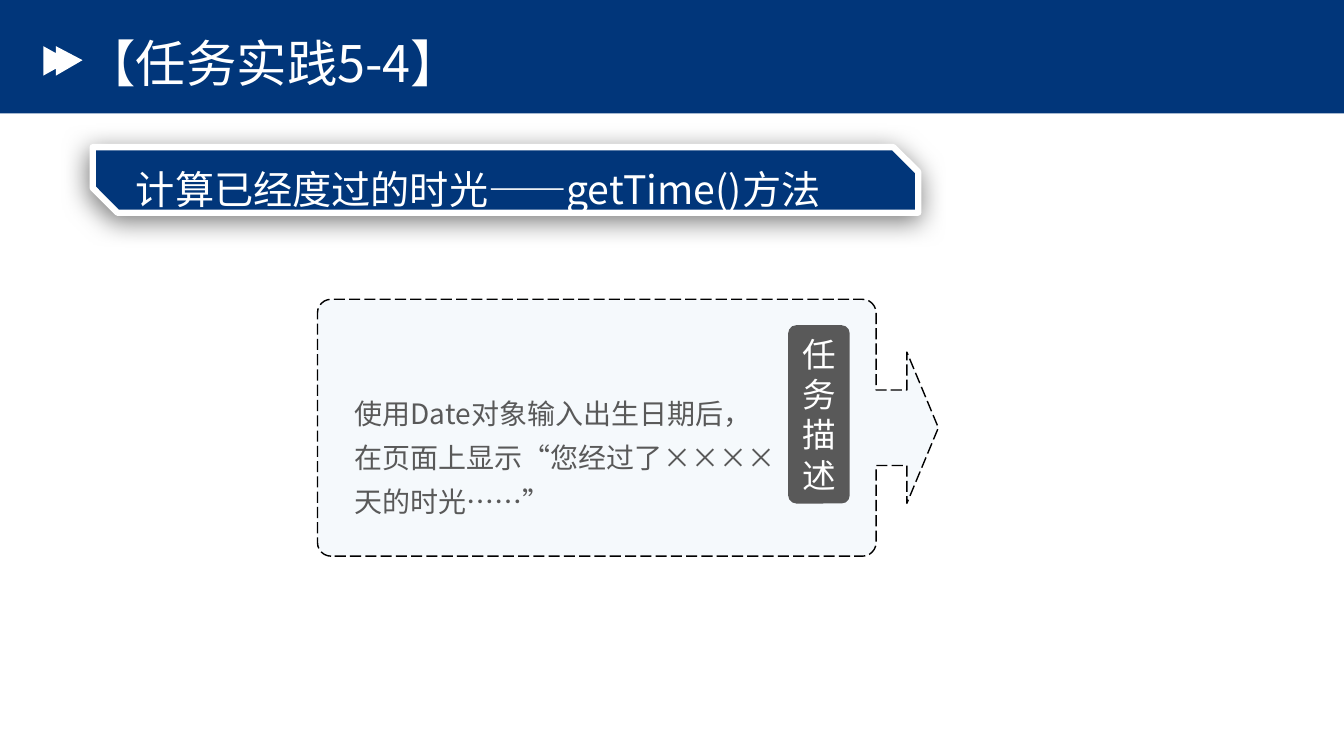
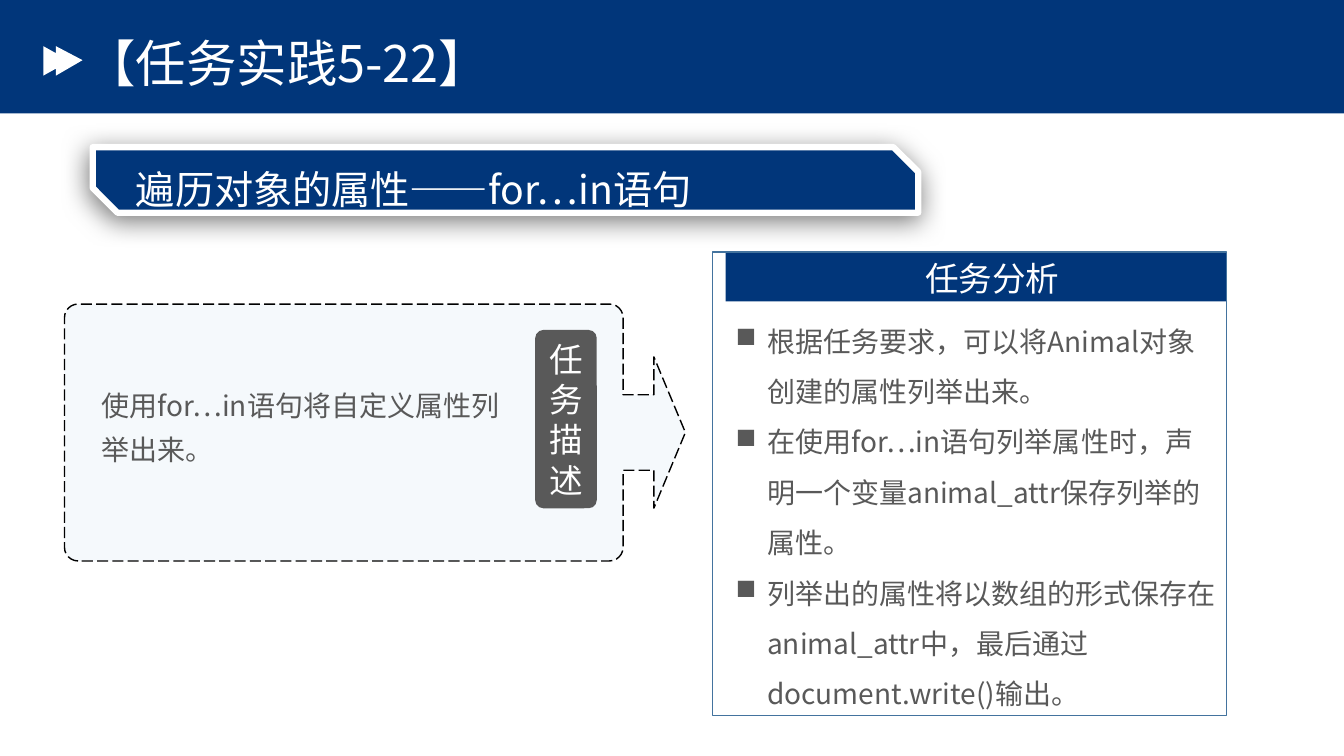
"""Build two task slides that share a title band, a ribbon and an arrow card."""
from dataclasses import dataclass
from math import cos, radians, sin
from typing import Optional

from lxml.etree import SubElement as Sub
from pptx import Presentation
from pptx.dml.color import RGBColor as RGB
from pptx.enum.dml import MSO_LINE as Dash
from pptx.enum.shapes import MSO_SHAPE as Kind
from pptx.enum.text import MSO_ANCHOR as Anchor, PP_ALIGN as Align
from pptx.oxml.ns import qn
from pptx.shapes.autoshape import Shape
from pptx.slide import Slide
from pptx.util import Pt

NAVY = RGB(0x01, 0x36, 0x7A)
WHITE = RGB(0xFF, 0xFF, 0xFF)
BLACK = RGB(0, 0, 0)
GRAY = RGB(0x59, 0x59, 0x59)
PALE = RGB(0xBD, 0xD7, 0xEE)
STEEL = RGB(0x43, 0x73, 0x9E)
SANS = "Noto Sans CJK SC"
CHEVRON = [(31, 33), (40, 38), (40, 33), (59, 43), (40, 54), (40, 49), (31, 54)]


@dataclass(frozen=True)
class Box:
    left: float
    top: float
    width: float
    height: float


@dataclass(frozen=True)
class Style:
    size: float
    color: RGB = WHITE
    font: str = SANS
    align: Align = Align.LEFT
    anchor: Anchor = Anchor.MIDDLE
    pitch: Optional[float] = None
    bullet: bool = False


@dataclass(frozen=True)
class Task:
    title: str
    topic: str
    left: float
    top: float
    drop: float
    brief: str
    steps: tuple[str, ...] = ()


TITLE = Style(36)
TOPIC = Style(28)
BRIEF = Style(20, GRAY, anchor=Anchor.TOP, pitch=31.4)
BADGE = Style(24, font="Calibri", align=Align.CENTER, pitch=28.8)
HEAD = Style(24, align=Align.CENTER)
STEP = Style(20, GRAY, anchor=Anchor.TOP, pitch=36, bullet=True)

TASKS = (
    Task("【任务实践5-4】", "计算已经度过的时光——getTime()方法", 226.8, 213.8, 58.6,
         "使用Date对象输入出生日期后，在页面上显示“您经过了××××天的时光……”"),
    Task("【任务实践5-22】", "遍历对象的属性——for…in语句", 46.1, 217.2, 49.4,
         "使用for…in语句将自定义属性列举出来。",
         ("根据任务要求，可以将Animal对象创建的属性列举出来。",
          "在使用for…in语句列举属性时，声明一个变量animal_attr保存列举的属性。",
          "列举出的属性将以数组的形式保存在animal_attr中，最后通过document.write()输出。")),
)


def area(box: Box) -> tuple[Pt, Pt, Pt, Pt]:
    return Pt(box.left), Pt(box.top), Pt(box.width), Pt(box.height)


def paint(shape: Shape, fill: Optional[RGB], line: Optional[RGB] = None, weight: float = 1) -> None:
    shape.shadow.inherit = False
    if fill is None:
        shape.fill.background()
    else:
        shape.fill.solid()
        shape.fill.fore_color.rgb = fill
    if line is None:
        shape.line.fill.background()
    else:
        shape.line.color.rgb = line
        shape.line.width = Pt(weight)


def block(slide: Slide, kind: Kind, box: Box, fill: Optional[RGB],
          line: Optional[RGB] = None, weight: float = 1) -> Shape:
    shape = slide.shapes.add_shape(kind, *area(box))
    paint(shape, fill, line, weight)
    return shape


def trace(slide: Slide, points: list[tuple[float, float]]) -> Shape:
    spots = [(Pt(x), Pt(y)) for x, y in points]
    path = slide.shapes.build_freeform(*spots[0])
    path.add_line_segments(spots[1:], close=True)
    return path.convert_to_shape()


def write(shape: Shape, style: Style, *lines: str) -> None:
    frame = shape.text_frame
    frame.word_wrap = True
    frame.vertical_anchor = style.anchor
    frame.text = "\n".join(lines)
    for para in frame.paragraphs:
        para.alignment = style.align
        if style.pitch:
            para.line_spacing = Pt(style.pitch)
        para.font.name = style.font
        para.font.size = Pt(style.size)
        para.font.color.rgb = style.color
        props = para._p.pPr
        face = props.find(qn("a:defRPr"))
        Sub(face, qn("a:ea")).set("typeface", SANS)
        if style.bullet:
            inset = Pt(22.5)
            props.set("marL", str(inset))
            props.set("indent", str(-inset))
            mark = Sub(props, qn("a:buChar"))
            mark.set("char", "■")
            face.addprevious(mark)


def label(slide: Slide, box: Box, style: Style, *lines: str) -> None:
    write(slide.shapes.add_textbox(*area(box)), style, *lines)


def shade(shape: Shape) -> None:
    effects = shape._element.spPr.find(qn("a:effectLst"))
    outer = Sub(effects, qn("a:outerShdw"), blurRad=str(Pt(19)), dist=str(Pt(4)),
                dir=str(112 * 60000), algn="ctr", rotWithShape="0")
    tint = Sub(outer, qn("a:srgbClr"), val=str(BLACK))
    Sub(tint, qn("a:alpha"), val="51000")


def header(slide: Slide, task: Task) -> None:
    block(slide, Kind.RECTANGLE, Box(0, 0, 960, 81), NAVY)
    paint(trace(slide, CHEVRON), WHITE)
    ribbon = block(slide, Kind.SNIP_2_DIAG_RECTANGLE, Box(66.2, 105.1, 589.7, 46.8),
                   NAVY, WHITE, 4.5)
    ribbon.adjustments[0] = 0
    ribbon.adjustments[1] = 0.378
    shade(ribbon)
    label(slide, Box(54, 24.5, 474, 40), TITLE, task.title)
    label(slide, Box(90, 110, 533, 50), TOPIC, task.topic)


def bend(x: float, y: float, start: int, radius: float) -> list[tuple[float, float]]:
    turns = [radians(start + step * 15) for step in range(7)]
    return [(x + radius * cos(turn), y + radius * sin(turn)) for turn in turns]


def outline(left: float, top: float) -> list[tuple[float, float]]:
    wide, tall, neck, tip, radius = 399, 183.5, 421, 443.5, 9.7
    mid, shaft, wing = tall / 2, 27, 54
    arrow = [(wide, mid - shaft), (neck, mid - shaft), (neck, mid - wing), (tip, mid),
             (neck, mid + wing), (neck, mid + shaft), (wide, mid + shaft)]
    far, low = wide - radius, tall - radius
    points = (bend(radius, low, 90, radius) + bend(radius, radius, 180, radius)
              + bend(far, radius, 270, radius) + arrow + bend(far, low, 0, radius))
    return [(left + x, top + y) for x, y in points]


def card(slide: Slide, task: Task) -> None:
    frame = trace(slide, outline(task.left, task.top))
    paint(frame, PALE, BLACK)
    frame.line.dash_style = Dash.LONG_DASH
    tint = frame._element.spPr.find(qn("a:solidFill"))[0]
    Sub(tint, qn("a:alpha"), val="15000")
    label(slide, Box(task.left + 19.4, task.top + task.drop, 316.8, 98), BRIEF, task.brief)
    badge = block(slide, Kind.ROUNDED_RECTANGLE,
                  Box(task.left + 336.2, task.top + 18.5, 44, 127.4), GRAY)
    badge.adjustments[0] = 0.133
    write(badge, BADGE, "任务描述")


def panel(slide: Slide, steps: tuple[str, ...]) -> None:
    block(slide, Kind.RECTANGLE, Box(518.4, 180, 357.8, 35.3), NAVY)
    label(slide, Box(518.4, 180.7, 380.9, 36), HEAD, "任务分析")
    label(slide, Box(518.4, 216, 357.8, 294.5), STEP, *steps)
    block(slide, Kind.RECTANGLE, Box(509, 180, 367.2, 331.2), None, STEEL)


def main() -> None:
    deck = Presentation()
    deck.slide_width, deck.slide_height = Pt(960), Pt(540)
    for task in TASKS:
        slide = deck.slides.add_slide(deck.slide_layouts[6])
        header(slide, task)
        card(slide, task)
        if task.steps:
            panel(slide, task.steps)
    deck.save("out.pptx")


if __name__ == "__main__":
    main()
